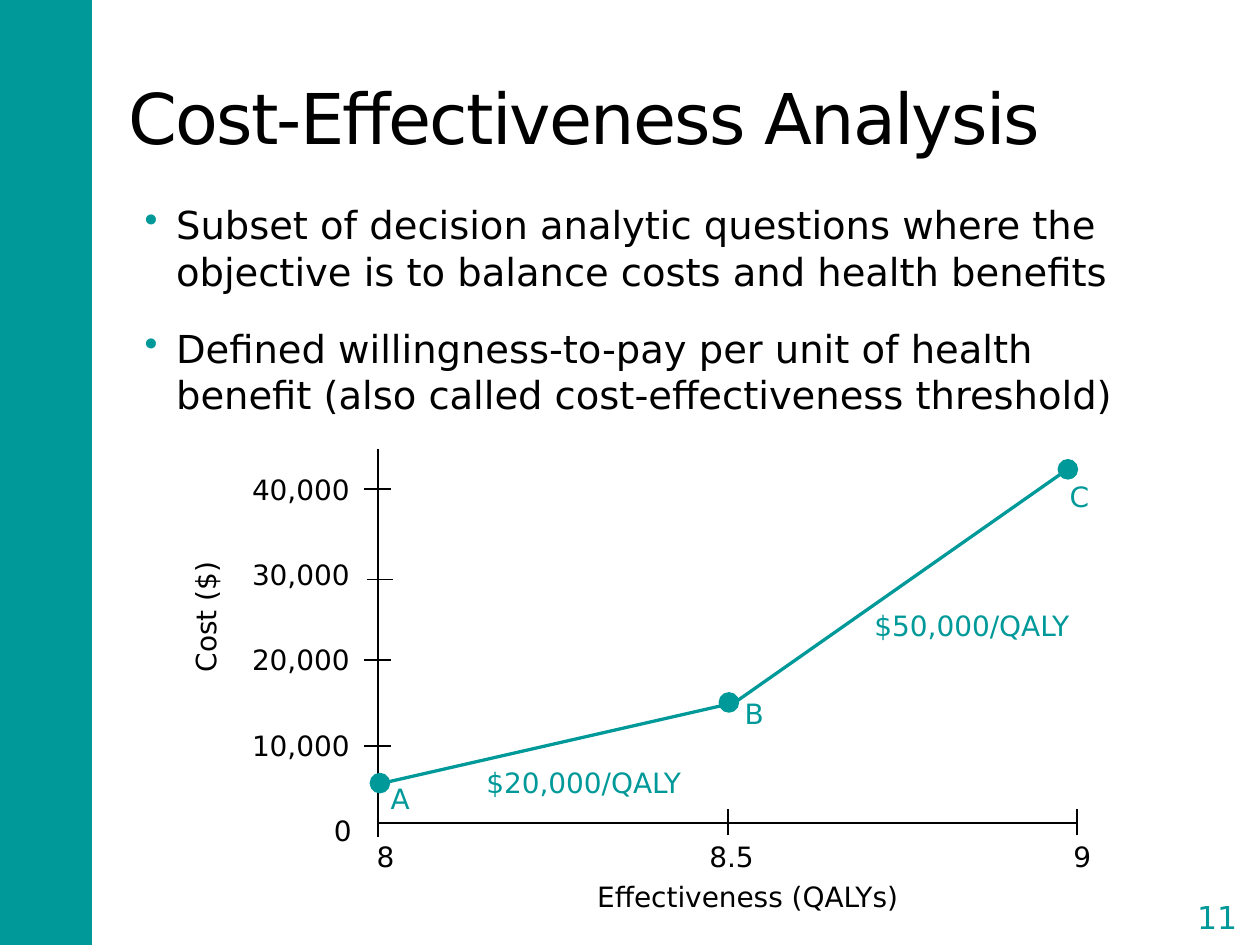
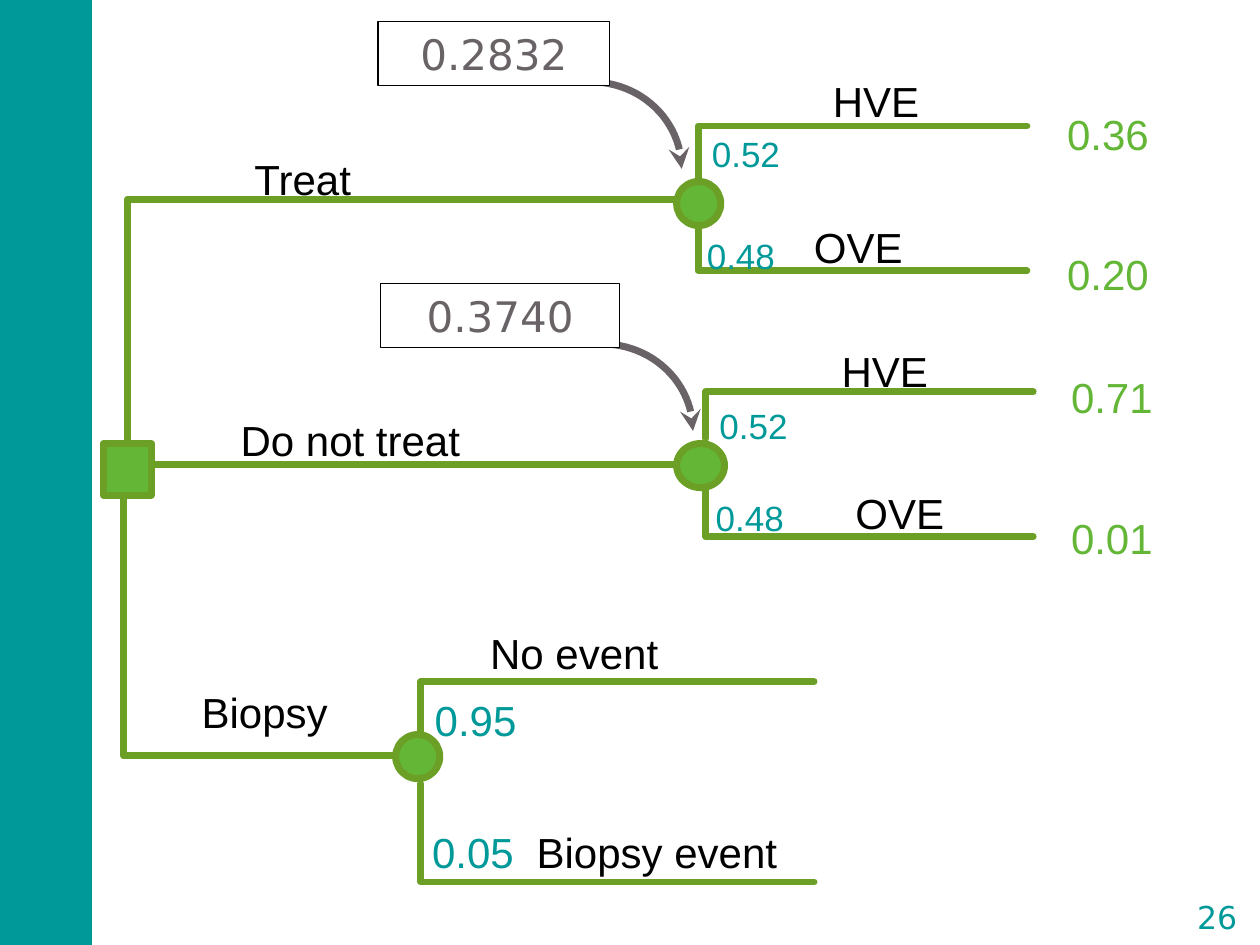
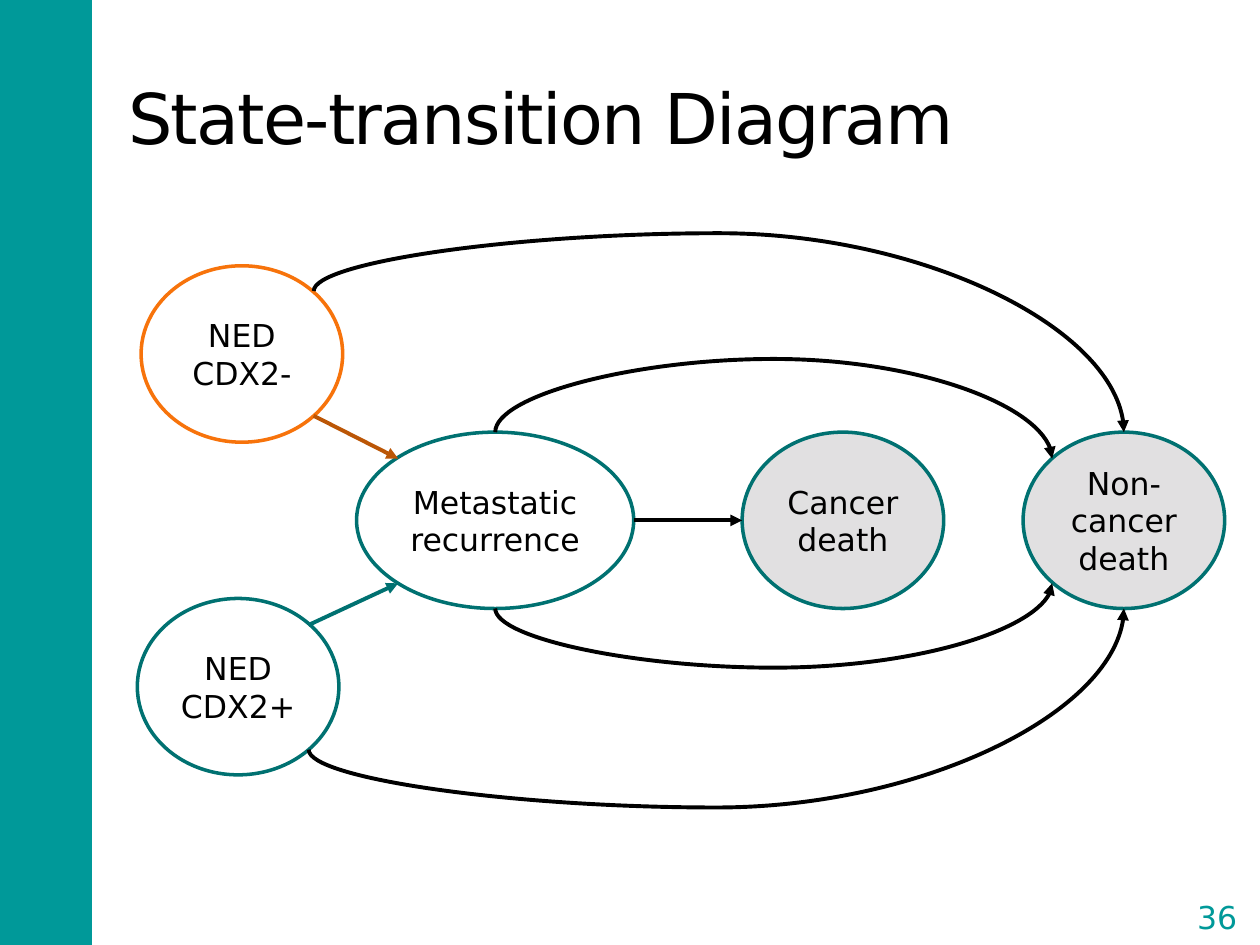
import math
import lxml.etree
import pptx
import pptx.dml.color
import pptx.enum.shapes
import pptx.enum.text
import pptx.oxml.ns
import pptx.util

COLOURS = {
    "teal": "009999", "deep_teal": "007171", "black": "000000", "white": "FFFFFF",
    "branch": "6B9F25", "node": "64B636", "grey": "696367", "pale": "E1E0E1",
    "orange": "F7730B", "rust": "BB5606",
}
SHAPES = pptx.enum.shapes.MSO_SHAPE
STRAIGHT = pptx.enum.shapes.MSO_CONNECTOR.STRAIGHT
CURVE = pptx.enum.shapes.MSO_CONNECTOR.CURVE
MIDDLE = pptx.enum.text.MSO_ANCHOR.MIDDLE
CENTRE = pptx.enum.text.PP_ALIGN.CENTER
qualify = pptx.oxml.ns.qn

deck = pptx.Presentation()
deck.slide_width = pptx.util.Inches(10)
deck.slide_height = pptx.util.Inches(7.5)
cell = deck.slide_width // 100


def write(page, kind, area, text, size, colour="black", font="DejaVu Sans",
          centred=False, anchor=None, inset=(1, 0.5), wrap=True, fill=None):
    area = [round(length * cell) for length in area]
    if kind is None:
        box = page.shapes.add_textbox(*area)
    else:
        box = page.shapes.add_shape(kind, *area)
        if fill:
            box.fill.solid()
            box.fill.fore_color.rgb = pptx.dml.color.RGBColor.from_string(COLOURS[fill])
        else:
            box.fill.background()
        box.line.fill.background()
        box.shadow.inherit = False
    if text:
        frame = box.text_frame
        frame.word_wrap = wrap
        frame.margin_left = frame.margin_right = round(inset[0] * cell)
        frame.margin_top = frame.margin_bottom = round(inset[1] * cell)
        if anchor is not None:
            frame.vertical_anchor = anchor
        lines = [text] if isinstance(text, str) else text
        for index, line in enumerate(lines):
            para = frame.paragraphs[0] if index == 0 else frame.add_paragraph()
            para.alignment = CENTRE if centred else pptx.enum.text.PP_ALIGN.LEFT
            span = para.add_run()
            span.text = line
            span.font.size = pptx.util.Pt(size)
            span.font.name = font
            span.font.color.rgb = pptx.dml.color.RGBColor.from_string(COLOURS[colour])
    return box


def outline(shape, colour, width, arrow=None, rounded=False):
    shape.line.color.rgb = pptx.dml.color.RGBColor.from_string(COLOURS[colour])
    shape.line.width = pptx.util.Pt(width)
    properties = shape._element.spPr
    stroke = properties.find(qualify("a:ln"))
    if rounded:
        stroke.set("cap", "rnd")
        lxml.etree.SubElement(stroke, qualify("a:round"))
    if arrow:
        lxml.etree.SubElement(stroke, qualify("a:tailEnd"), type=arrow)
    if properties.find(qualify("a:effectLst")) is None:
        lxml.etree.SubElement(properties, qualify("a:effectLst"))


pages = []
for number, title in [("11", "Cost-Effectiveness Analysis"), ("26", None),
                      ("36", "State-transition Diagram")]:
    page = deck.slides.add_slide(deck.slide_layouts[6])
    write(page, SHAPES.RECTANGLE, (0, 0, 7.3, 75), None, 0, fill="teal")
    if title:
        heading = write(page, None, (9.2, 3, 83.3, 12.5), title, 40, anchor=MIDDLE)
        heading.text_frame.paragraphs[0].runs[0].font._element.set("spc", "-100")
    badge = write(page, SHAPES.DOUBLE_BRACKET, (93.6, 70.6, 6, 4.3), number, 18, "teal",
                  centred=True, anchor=MIDDLE, inset=(0, 0))
    badge.adjustments[0] = 0.18
    outline(badge, "white", 1.5)
    pages.append(page)
analysis, tree, states = pages

body = write(analysis, None, (9.2, 15.5, 83.3, 20), [
    "Subset of decision analytic questions where the objective is to balance costs and health benefits",
    "Defined willingness-to-pay per unit of health benefit (also called cost-effectiveness threshold)",
], 22)
for index, para in enumerate(body.text_frame.paragraphs):
    para.space_before = pptx.util.Pt(6 if index else 0)
    para.space_after = pptx.util.Pt(12)
    layout = para._element.get_or_add_pPr()
    layout.set("marL", str(round(3.8 * cell)))
    layout.set("indent", str(round(-2.5 * cell)))
    tint = lxml.etree.SubElement(layout, qualify("a:buClr"))
    lxml.etree.SubElement(tint, qualify("a:srgbClr"), val=COLOURS["teal"])
    lxml.etree.SubElement(layout, qualify("a:buChar"), char="•")

axes = [(30, 35.6, 30, 66.4), (30, 65.3, 85.5, 65.3)]
cost_ticks = [(x, y, x + 2.1, y) for x, y in [(28.9, 38.8), (29.1, 46), (28.9, 52.4), (28.9, 59.2)]]
effect_ticks = [(x, 66.3, x, 64.2) for x in (57.8, 85.5)]
for ends in axes + cost_ticks + effect_ticks:
    axis = analysis.shapes.add_connector(STRAIGHT, *[round(value * cell) for value in ends])
    outline(axis, "black", 1)
for ends in [(30.6, 62.1, 57.3, 56), (58.4, 55.7, 84.5, 37.4)]:
    frontier = analysis.shapes.add_connector(STRAIGHT, *[round(value * cell) for value in ends])
    outline(frontier, "teal", 1.88)
for left, top in [(29.4, 61.4), (57.1, 55), (84, 36.5)]:
    point = write(analysis, SHAPES.OVAL, (left, top, 1.5, 1.5), None, 0, fill="teal")
    outline(point, "teal", 1)

cost_labels = [(20, 57.8 - 6.77 * step, 7.9, f"{step + 1}0,000", "black") for step in range(4)]
for left, top, width, text, colour in cost_labels + [
    (26.5, 64.6, 1.4, "0", "black"),
    (29.9, 66.6, 1.4, "8", "black"),
    (56.3, 66.6, 3.7, "8.5", "black"),
    (85.2, 66.6, 1.4, "9", "black"),
    (47.4, 69.8, 24.4, "Effectiveness (QALYs)", "black"),
    (31, 62, 1.5, "A", "teal"),
    (59.1, 55.3, 1.5, "B", "teal"),
    (84.9, 38.1, 1.6, "C", "teal"),
    (38.6, 60.8, 16.1, "$20,000/QALY", "teal"),
    (69.4, 48.3, 16.1, "$50,000/QALY", "teal"),
]:
    write(analysis, None, (left, top, width, 2.7), text, 16, colour, inset=(0, 0), wrap=False)
cost_title = write(analysis, None, (11.7, 47.4, 9.2, 2.7), "Cost ($)", 16, inset=(0, 0), wrap=False)
cost_title.rotation = 270

branches = [
    [(9.5, 38.3), (9.5, 36.9), (56.4, 36.9)],
    [(9.8, 38.3), (9.8, 60), (32.1, 60)],
    [(10.1, 37.9), (10.1, 15.8), (56, 15.8)],
]
for x, end, upper, upper_start, lower_start, lower in [
    (55.4, 81.5, 10, 14.2, 16.2, 21.5),
    (56, 82, 31.1, 34.8, 37.2, 42.6),
    (33.4, 64.6, 54.1, 58.7, 62.2, 70),
]:
    branches += [[(x, upper_start), (x, upper), (end, upper)],
                 [(x, lower_start), (x, lower), (end, lower)]]
arcs = []
for left, top in [(46.9, 6.5), (47.8, 27.3)]:
    angles = [math.pi / 2 * step / 24 for step in range(25)]
    arcs.append([(left + 7.2 * math.sin(angle), top + 6.9 * (1 - math.cos(angle)))
                 for angle in angles])
for points, colour, arrow in ([(points, "branch", None) for points in branches]
                              + [(points, "grey", "stealth") for points in arcs]):
    corners = [(round(x * cell), round(y * cell)) for x, y in points]
    builder = tree.shapes.build_freeform(*corners[0])
    builder.add_line_segments(corners[1:], close=False)
    route = builder.convert_to_shape()
    route.fill.background()
    outline(route, colour, 4, arrow, rounded=arrow is None)

for kind, area in [
    (SHAPES.RECTANGLE, (8.2, 35.2, 3.8, 4.1)),
    (SHAPES.OVAL, (53.7, 14.4, 3.5, 3.5)),
    (SHAPES.OVAL, (53.7, 35.2, 3.8, 3.5)),
    (SHAPES.OVAL, (31.4, 58.3, 3.5, 3.5)),
]:
    node = write(tree, kind, area, None, 0, fill="node")
    outline(node, "branch", 4)

for left, top, width, text, size, colour in [
    (19.6, 11.9, 9.2, "Treat", 24, "black"),
    (18.5, 32.6, 20.6, "Do not treat", 24, "black"),
    (15.4, 54.2, 11.5, "Biopsy", 24, "black"),
    (65.5, 5.7, 8.4, "HVE", 24, "black"),
    (64, 17.3, 10.4, "OVE", 24, "black"),
    (66.2, 27.1, 8.4, "HVE", 24, "black"),
    (67.3, 38.4, 10.4, "OVE", 24, "black"),
    (38.3, 49.5, 17.5, "No event", 24, "black"),
    (42, 65.3, 20.7, "Biopsy event", 24, "black"),
    (55.9, 10.2, 8.7, "0.52", 20, "teal"),
    (55.5, 18.3, 7.3, "0.48", 20, "teal"),
    (56.5, 31.8, 6.9, "0.52", 20, "teal"),
    (56.2, 39.1, 7.7, "0.48", 20, "teal"),
    (33.9, 54.8, 9.9, "0.95", 24, "teal"),
    (33.7, 65.3, 10.1, "0.05", 24, "teal"),
    (84.1, 8.3, 8.5, "0.36", 24, "node"),
    (84.1, 19.4, 8.5, "0.20", 24, "node"),
    (84.4, 29.2, 8.5, "0.71", 24, "node"),
    (84.4, 40.4, 8.5, "0.01", 24, "node"),
]:
    write(tree, None, (left, top, width, size / 6 + 0.65), text, size, colour, "Arial",
          inset=(0.6, 0.3))
for area, value in [((30, 1.7, 18.4, 5.1), "0.2832"), ((30.2, 22.5, 19, 5.1), "0.3740")]:
    expected = write(tree, SHAPES.RECTANGLE, area, value, 24, "grey", centred=True,
                     anchor=MIDDLE, fill="white")
    outline(expected, "black", 0.75)

for left, top, width, text, edge, fill in [
    (11.2, 21.1, 16, "NED CDX2-", "orange", None),
    (10.9, 47.5, 16, "NED CDX2+", "deep_teal", None),
    (28.3, 34.3, 22, "Metastatic recurrence", "deep_teal", None),
    (58.9, 34.3, 16, "Cancer death", "deep_teal", "pale"),
    (81.2, 34.3, 16, "Non-cancer death", "deep_teal", "pale"),
]:
    state = write(states, SHAPES.OVAL, (left, top, width, 14), text, 18, centred=True,
                  anchor=MIDDLE, fill=fill)
    outline(state, edge, 2)

for ends, colour in [
    ((50.3, 41.3, 58.9, 41.3), "black"),
    ((24.9, 33, 31.6, 36.4), "rust"),
    ((24.5, 49.6, 31.6, 46.3), "deep_teal"),
]:
    transition = states.shapes.add_connector(STRAIGHT, *[round(value * cell) for value in ends])
    outline(transition, colour, 2.25, "triangle")

for start_x, start_y, end_x, end_y, bend in [
    (24.9, 23.1, 89.2, 34.3, -0.41),
    (24.5, 59.5, 89.2, 48.3, -0.41),
    (39.3, 34.3, 83.5, 36.4, -2.77),
    (39.3, 48.3, 83.5, 46.3, -2.35),
]:
    middle_x, middle_y = (start_x + end_x) / 2, (start_y + end_y) / 2
    half_rise, half_run = abs(end_y - start_y) / 2, (end_x - start_x) / 2
    downward = end_y > start_y
    reach = half_run if downward else -half_run
    ends = (middle_x + half_rise, middle_y - reach, middle_x - half_rise, middle_y + reach)
    transition = states.shapes.add_connector(CURVE, *[round(value * cell) for value in ends])
    properties = transition._element.spPr
    properties.find(qualify("a:xfrm")).set("rot", str((270 if downward else 90) * 60000))
    guides = properties.find(qualify("a:prstGeom")).find(qualify("a:avLst"))
    lxml.etree.SubElement(guides, qualify("a:gd"), name="adj1", fmla=f"val {round(bend * 100000)}")
    outline(transition, "black", 2.25, "triangle")

deck.save("out.pptx")
